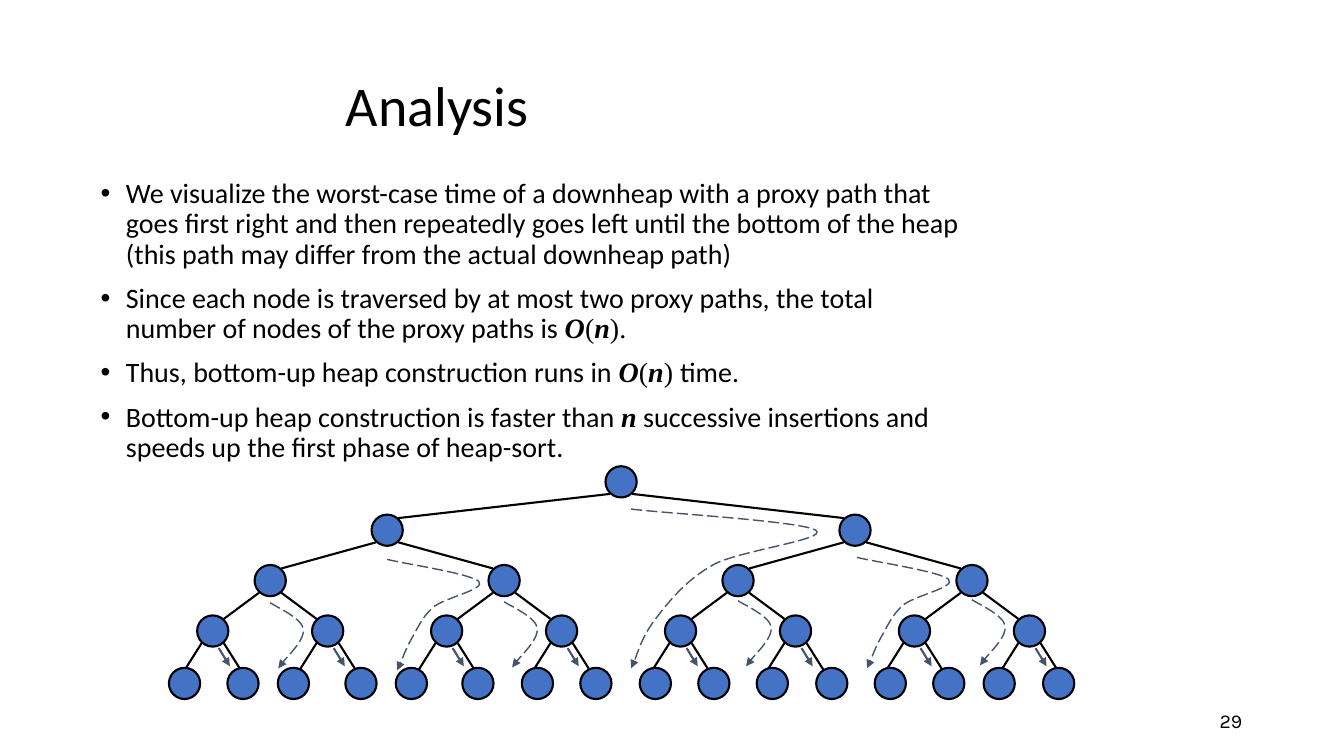
from dataclasses import dataclass
from typing import Any, NamedTuple

from lxml import etree
from pptx import Presentation
from pptx.dml.color import RGBColor
from pptx.enum.dml import MSO_LINE
from pptx.enum.shapes import MSO_CONNECTOR, MSO_SHAPE
from pptx.enum.text import MSO_ANCHOR, PP_ALIGN
from pptx.oxml.ns import qn
from pptx.util import Inches, Pt

OVAL = MSO_SHAPE.OVAL
STRAIGHT = MSO_CONNECTOR.STRAIGHT
DASH = MSO_LINE.LONG_DASH
MIDDLE, TOP = MSO_ANCHOR.MIDDLE, MSO_ANCHOR.TOP
RIGHT, LEFT = PP_ALIGN.RIGHT, PP_ALIGN.LEFT


@dataclass(frozen=True)
class Theme:
    """Colours, fonts and type sizes of the slide."""
    ink: RGBColor = RGBColor(0, 0, 0)
    node: RGBColor = RGBColor(0x44, 0x72, 0xC4)
    trail: RGBColor = RGBColor(0x44, 0x54, 0x6A)
    text: str = "Calibri"
    math: str = "Times New Roman"
    digit: str = "Karla"
    title: int = 40
    body: int = 20
    page: int = 14
    edge: float = 1.5
    thin: float = 1


THEME = Theme()
PLAIN = {"name": THEME.text, "bold": False, "italic": False}
PAREN = {**PLAIN, "name": THEME.math}
VAR = {"name": THEME.math, "bold": True, "italic": True}
PAGE = {**PLAIN, "name": THEME.digit}


class Run(NamedTuple):
    """A piece of text and its font format."""
    text: str
    font: dict[str, Any] = PLAIN


class Box(NamedTuple):
    """A text box: place, size and format."""
    place: tuple[float, float, float, float]
    size: int
    paras: list[list[Run]]
    anchor: Any = MIDDLE
    para: dict[str, Any] = {"line_spacing": 0.9}
    bullet: bool = False


class Node(NamedTuple):
    """Centre of a tree node."""
    x: float
    y: float


class Curve(NamedTuple):
    """A proxy path and the shifts at which it repeats."""
    points: list[tuple[float, float]]
    shifts: list[tuple[float, float]]


ORDER = [Run("O", VAR), Run("(", PAREN), Run("n", VAR)]
BOXES = [
    Box((9.42, 6.95, 3, 0.4), THEME.page, [[Run("29", PAGE)]],
        para={"alignment": RIGHT}),
    Box((3.33, 0.58, 4.91, 1), THEME.title, [[Run("Analysis")]]),
    Box((0.9, 1.73, 8.75, 3.08), THEME.body, [
        [Run("We visualize the worst-case time of a downheap with a proxy path "
             "that goes first right and then repeatedly goes left until the "
             "bottom of the heap (this path may differ from the actual "
             "downheap path)")],
        [Run("Since each node is traversed by at most two proxy paths, the "
             "total number of nodes of the proxy paths is "),
         *ORDER, Run("). ", PAREN)],
        [Run("Thus, bottom-up heap construction runs in "),
         *ORDER, Run(") ", PAREN), Run("time. ")],
        [Run("Bottom-up heap construction is faster than "), Run("n", VAR),
         Run(" successive insertions and speeds up the first phase of "
             "heap-sort.")],
    ], TOP, {"line_spacing": 0.9, "space_before": Pt(10), "alignment": LEFT},
        True),
]

SIZE = 0.31
ROOT = Node(6.16, 4.78)
ROWS = [5.26, 5.76, 6.26]
STEPS = [2.32, 1.16, 0.57]
LEAF_Y = 6.78
LEAVES = [1.83, 2.41, 2.91, 3.58, 4.08, 4.74, 5.33, 5.91,
          6.5, 7.08, 7.66, 8.25, 8.83, 9.41, 9.91, 10.5]
CURVES = [
    Curve([(6.26, 5.05), (6.56, 5.09), (7.95, 5.17), (8.09, 5.26),
           (8.23, 5.35), (7.34, 5.46), (7.08, 5.6),
           (6.81, 5.75), (6.64, 5.96), (6.51, 6.13),
           (6.37, 6.31), (6.31, 6.53), (6.26, 6.63)], [(0, 0)]),
    Curve([(3.84, 5.55), (3.99, 5.59), (4.67, 5.69), (4.75, 5.77),
           (4.82, 5.85), (4.4, 5.93), (4.29, 6.03),
           (4.18, 6.13), (4.14, 6.24), (4.08, 6.34),
           (4.02, 6.45), (3.97, 6.59), (3.94, 6.65)], [(0, 0), (4.66, -0.02)]),
    Curve([(2.68, 5.98), (2.74, 6.02), (2.99, 6.13), (3.01, 6.24),
           (3.02, 6.35), (2.81, 6.55), (2.76, 6.63)],
          [(2.32 * i, -0.01 * i) for i in range(4)]),
]


def apply(item: Any, form: dict[str, Any]) -> None:
    """Set each attribute named in a format dict."""
    for key, value in form.items():
        setattr(item, key, value)


def add_box(slide: Any, box: Box) -> None:
    """Draw a text box with its paragraphs and runs."""
    frame = slide.shapes.add_textbox(*map(Inches, box.place)).text_frame
    apply(frame, {"word_wrap": True, "vertical_anchor": box.anchor})
    for i, runs in enumerate(box.paras):
        para = frame.add_paragraph() if i else frame.paragraphs[0]
        apply(para, box.para)
        if box.bullet:
            props = para._p.get_or_add_pPr()
            props.set("marL", str(Inches(0.25)))
            props.set("indent", str(Inches(-0.25)))
            etree.SubElement(props, qn("a:buFont")).set("typeface", "Arial")
            etree.SubElement(props, qn("a:buChar")).set("char", "\u2022")
        for part in runs:
            run = para.add_run()
            run.text = part.text
            apply(run.font, {**part.font, "size": Pt(box.size)})
            run.font.color.rgb = THEME.ink


def ink_line(line: Any, color: RGBColor, width: float,
             arrow: bool = False) -> None:
    """Colour a line; an arrow is dashed and has a head at its end."""
    line.color.rgb = color
    line.width = Pt(width)
    if arrow:
        line.dash_style = DASH
        etree.SubElement(line._get_or_add_ln(),
                         qn("a:tailEnd")).set("type", "triangle")


def add_line(slide: Any, start: Node, end: Node, arrow: bool = False) -> None:
    """Draw a tree edge or a short arrow."""
    link = slide.shapes.add_connector(STRAIGHT, *map(Inches, (*start, *end)))
    ink_line(link.line, THEME.trail if arrow else THEME.ink, THEME.edge, arrow)
    etree.SubElement(link.element.spPr, qn("a:effectLst"))


def add_node(slide: Any, node: Node) -> None:
    """Draw a tree node around its centre."""
    place = (node.x - SIZE / 2, node.y - SIZE / 2, SIZE, SIZE)
    shape = slide.shapes.add_shape(OVAL, *map(Inches, place))
    shape.shadow.inherit = False
    shape.fill.solid()
    shape.fill.fore_color.rgb = THEME.node
    ink_line(shape.line, THEME.ink, THEME.edge)


def add_curve(slide: Any, points: list[tuple[float, float]]) -> None:
    """Draw a proxy path; each three points after the first bend one curve."""
    spots = [(Inches(x), Inches(y)) for x, y in points]
    pen = slide.shapes.build_freeform(*spots[0])
    pen.add_line_segments(spots[1:], close=False)
    shape = pen.convert_to_shape()
    shape.shadow.inherit = False
    shape.fill.background()
    ink_line(shape.line, THEME.trail, THEME.thin, True)
    route = next(shape.element.iter(qn("a:path")))
    steps = route.findall(qn("a:lnTo"))
    for i in range(0, len(steps), 3):
        bend = etree.SubElement(route, qn("a:cubicBezTo"))
        for step in steps[i:i + 3]:
            bend.append(step[0])
            route.remove(step)


def main() -> None:
    """Build the slide and save it."""
    deck = Presentation()
    deck.slide_width, deck.slide_height = Inches(13.33), Inches(7.5)
    slide = deck.slides.add_slide(deck.slide_layouts[6])
    for box in BOXES:
        add_box(slide, box)

    nodes, level = [ROOT], [ROOT]
    for y, step in zip(ROWS, STEPS):
        below = []
        for top in level:
            for side in (-1, 1):
                kid = Node(top.x + side * step, y)
                add_line(slide, Node(top.x + side * 0.11, top.y + 0.12),
                         Node(kid.x - side * 0.11, y - 0.12))
                below.append(kid)
        nodes += below
        level = below
    for x, y in level:
        for side in (-1, 1):
            add_line(slide, Node(x + side * 0.11, y + 0.12),
                     Node(x + side * 0.28, y + 0.39))
    for node in nodes:
        add_node(slide, node)
    for curve in CURVES:
        for dx, dy in curve.shifts:
            add_curve(slide, [(x + dx, y + dy) for x, y in curve.points])
    for x, y in level:
        add_line(slide, Node(x + 0.06, y + 0.17), Node(x + 0.17, y + 0.35), True)
    for x in LEAVES:
        add_node(slide, Node(x, LEAF_Y))
    deck.save("out.pptx")


main()
